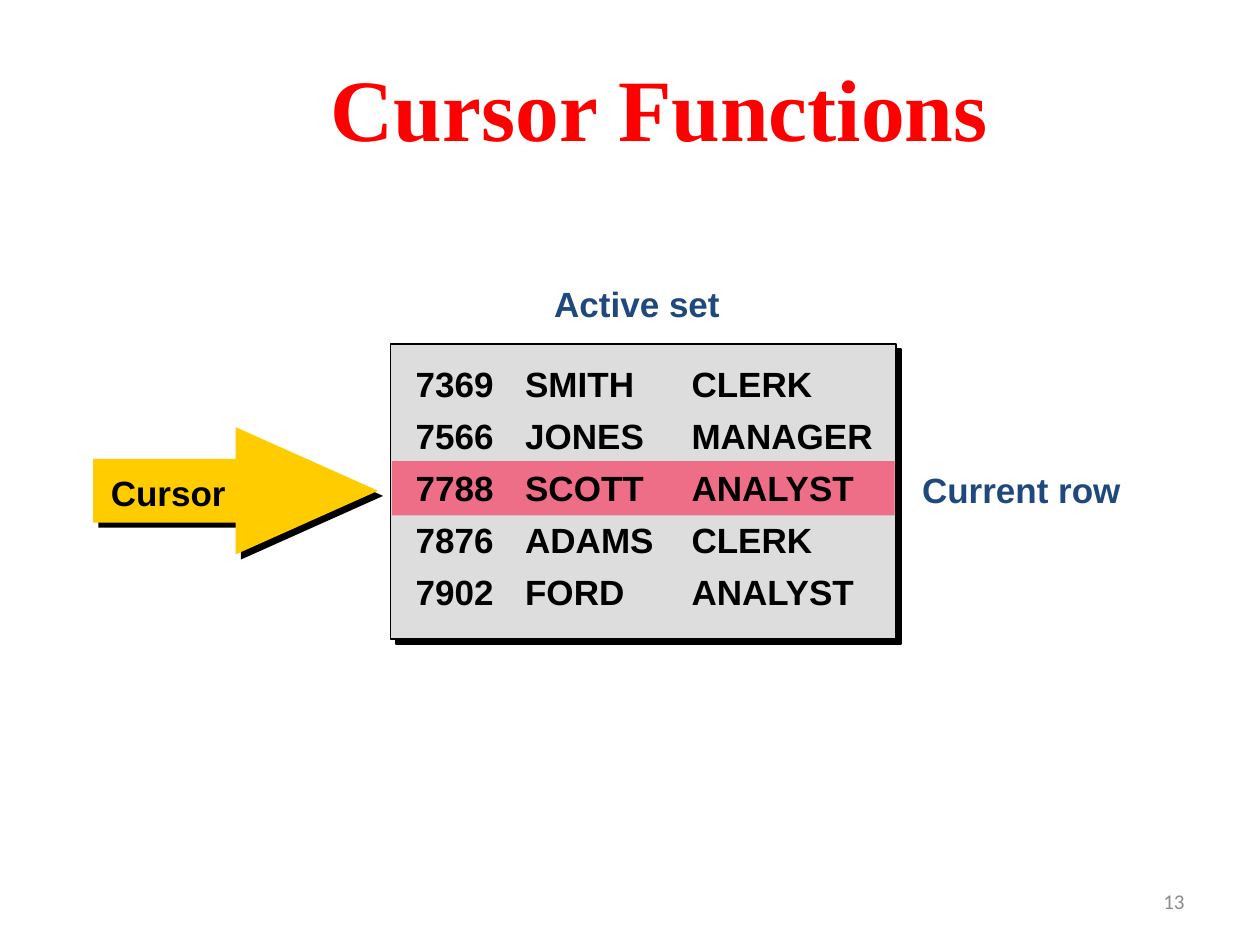
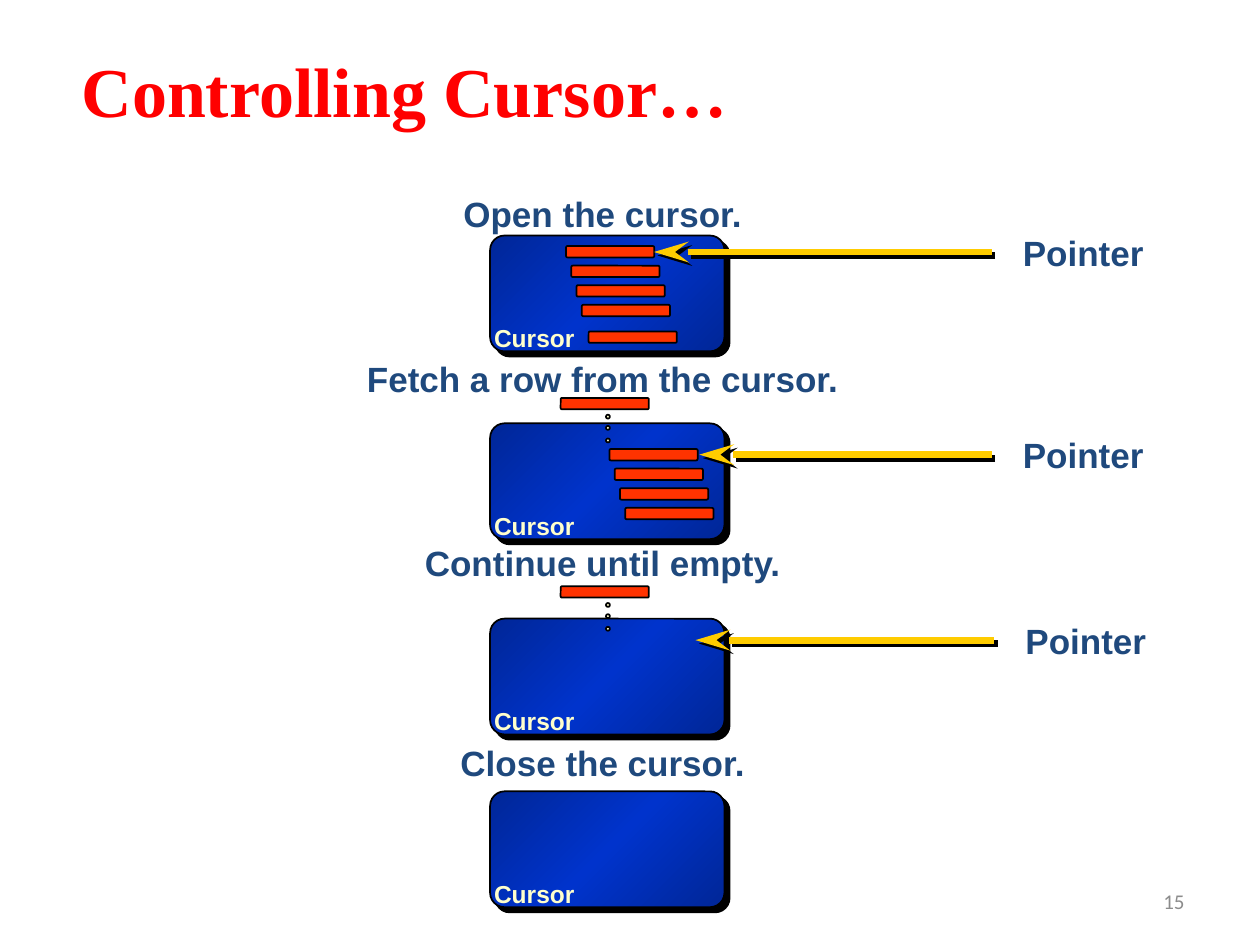
from lxml.etree import SubElement as Sub
from pptx import Presentation
from pptx.dml.color import RGBColor
from pptx.enum.shapes import MSO_CONNECTOR as Link, MSO_SHAPE as Kind
from pptx.enum.text import MSO_ANCHOR as Anchor, MSO_AUTO_SIZE as Size, PP_ALIGN as Align
from pptx.oxml.ns import qn
from pptx.util import Pt

RED = RGBColor(0xFF, 0x00, 0x00)
NAVY = RGBColor(0x1F, 0x49, 0x7D)
BLACK = RGBColor(0x00, 0x00, 0x00)
GRAY = RGBColor(0x8C, 0x8C, 0x8C)
SILVER = RGBColor(0xDD, 0xDD, 0xDD)
GOLD = RGBColor(0xFF, 0xCC, 0x00)
ROSE = RGBColor(0xFF, 0x00, 0x33)
CREAM = RGBColor(0xFF, 0xFF, 0xCC)
FLAME = RGBColor(0xFF, 0x33, 0x00)
DEEP = RGBColor(0x00, 0x26, 0x97)
BLUE = RGBColor(0x00, 0x33, 0xCC)

# Slide 1: the rows of the active set
STAFF = [
    ("7369", "SMITH", "CLERK"),
    ("7566", "JONES", "MANAGER"),
    ("7788", "SCOTT", "ANALYST"),
    ("7876", "ADAMS", "CLERK"),
    ("7902", "FORD", "ANALYST"),
]
TABS = (62.6, 157.7)

# Slide 2: caption (text, top, width), card top, row places,
# top of the fetched row, pointer (from x, to x, y)
STEP_X, STEP_Y = 3.0, 11.2
STAGES = [
    dict(cap=("Open the cursor.", 108, 226.8), card=134.6,
         rows=[(323.5 + i * STEP_X, 140.6 + i * STEP_Y) for i in range(4)] + [(336.4, 189.4)],
         out=None, point=(566.6, 373.7, 144)),
    dict(cap=("Fetch a row from the cursor.", 202.3, 327.6), card=241.9,
         rows=[(348.3 + i * STEP_X, 256.6 + i * STEP_Y) for i in range(4)],
         out=227.4, point=(566.6, 399.6, 259.8)),
    dict(cap=("Continue until empty.", 307.4, 258.5), card=353.5,
         rows=[], out=335, point=(568.1, 397.4, 365.8)),
    dict(cap=("Close the cursor.", 421.9, 226.8), card=452.2,
         rows=[], out=None, point=None),
]
CARD_X, CARD_W, CARD_H = 280.1, 133.9, 66.2
ROW_W, ROW_H = 50.4, 6.5
MID = 344.4
DOT_X, DOT, DROPS = 346.3, 2.2, (9.6, 16, 23.2)


def write(slide, lines, box, size, tint, font="Arial", bold=True, align=Align.LEFT,
          pad=(7.2, 3.6), wrap=True, grow=True, anchor=Anchor.TOP,
          loose=False, tabs=(), hang=0):
    """Add a text box with one paragraph for each line."""
    frame = slide.shapes.add_textbox(*map(Pt, box)).text_frame
    frame.word_wrap = wrap
    frame.auto_size = Size.SHAPE_TO_FIT_TEXT if grow else Size.NONE
    frame.vertical_anchor = anchor
    frame.margin_left = frame.margin_right = Pt(pad[0])
    frame.margin_top = frame.margin_bottom = Pt(pad[1])
    frame.text = "\n".join(lines)
    for para in frame.paragraphs:
        para.alignment = align
        props = para._p.get_or_add_pPr()
        if hang:
            props.set("marL", str(Pt(hang)))
            props.set("indent", str(-Pt(hang)))
        if loose:
            para.line_spacing = 0.95
            Sub(Sub(props, qn("a:spcBef")), qn("a:spcPct"), val="35000")
        if tabs:
            stops = Sub(props, qn("a:tabLst"))
            for tab in tabs:
                Sub(stops, qn("a:tab"), pos=str(Pt(tab)), algn="l")
        for run in para.runs:
            run.font.size, run.font.bold, run.font.name = Pt(size), bold, font
            run.font.color.rgb = tint


def shade(shape, dist):
    """Give a shape or line a hard black shadow, down and to the right."""
    props = shape.element.spPr
    node = props.find(qn("a:effectLst"))
    if node is None:
        node = Sub(props, qn("a:effectLst"))
    cast = Sub(node, qn("a:outerShdw"), dist=str(Pt(dist)), dir="2700000",
               algn="ctr", rotWithShape="0")
    Sub(cast, qn("a:srgbClr"), val=str(BLACK))


def draw(slide, kind, box, fill, edge=True, bend=()):
    """Add a filled preset shape, with a thin black edge if wanted."""
    shape = slide.shapes.add_shape(kind, *map(Pt, box))
    for i, part in enumerate(bend):
        shape.adjustments[i] = part
    shape.fill.solid()
    shape.fill.fore_color.rgb = fill
    if edge:
        shape.line.color.rgb = BLACK
        shape.line.width = Pt(1)
    else:
        shape.line.fill.background()
    shape.shadow.inherit = False
    return shape


def blend(shape):
    """Replace the fill with a diagonal blend, bright in the middle."""
    old = shape.element.spPr.find(qn("a:solidFill"))
    grad = old.makeelement(qn("a:gradFill"), {"rotWithShape": "1"})
    stops = Sub(grad, qn("a:gsLst"))
    for place, tint in ((0, DEEP), (50, BLUE), (100, DEEP)):
        stop = Sub(stops, qn("a:gs"), pos=str(place * 1000))
        Sub(stop, qn("a:srgbClr"), val=str(tint))
    Sub(grad, qn("a:lin"), ang="2700000", scaled="1")
    old.getparent().replace(old, grad)


def start(deck, title, box, size, page):
    """Add a blank slide with its title and page number."""
    slide = deck.slides.add_slide(deck.slide_layouts[6])
    write(slide, [page], (516, 500.5, 168, 28.8), 12, GRAY, "Calibri", bold=False,
          align=Align.RIGHT, grow=False, anchor=Anchor.MIDDLE)
    write(slide, [title], box, size, RED, "Times New Roman",
          align=Align.CENTER, wrap=False)
    return slide


def label(slide, text, box, tint=NAVY, **more):
    """Add a bold label."""
    write(slide, [text], box, 20, tint, **more)


def bar(slide, x, y):
    """Add one row of the cursor."""
    draw(slide, Kind.ROUNDED_RECTANGLE, (x, y, ROW_W, ROW_H), FLAME, bend=[0.125])


def point(slide, begin, end, y):
    """Add a pointer arrow with its label."""
    label(slide, "Pointer", (begin + 10.8, y - 15.5, 101, 31))
    line = slide.shapes.add_connector(Link.STRAIGHT, Pt(begin), Pt(y), Pt(end), Pt(y))
    line.line.color.rgb = GOLD
    line.line.width = Pt(4)
    Sub(line.element.spPr.get_or_add_ln(), qn("a:tailEnd"),
        type="stealth", w="med", len="lg")
    shade(line, 2.8)


def stage(slide, cap, card, rows, out, arrow):
    """Draw one stage: caption, cursor card, rows and pointer."""
    text, top, width = cap
    label(slide, text, (MID - width / 2, top, width, 30.2),
          align=Align.CENTER, loose=True, hang=27)
    panel = draw(slide, Kind.ROUNDED_RECTANGLE, (CARD_X, card, CARD_W, CARD_H),
                 BLUE, bend=[0.125])
    blend(panel)
    shade(panel, 4.2)
    write(slide, ["Cursor"], (278, card + 48, 60, 21.6), 14, CREAM, pad=(4.3, 2.2))
    for x, y in rows:
        bar(slide, x, y)
    if out:
        for drop in DROPS:
            draw(slide, Kind.OVAL, (DOT_X, out + drop, DOT, DOT), CREAM)
        bar(slide, 320.4, out)
    if arrow:
        point(slide, *arrow)


def active(deck):
    """Build the slide on the active set."""
    slide = start(deck, "Cursor Functions", (180, 27.4, 393.8, 67.7), 50, "13")
    shade(draw(slide, Kind.RECTANGLE, (223.2, 196.6, 288.7, 168.5), SILVER), 4.2)
    label(slide, "Active set", (290.2, 159.8, 147.6, 30.2),
          align=Align.CENTER, loose=True)
    label(slide, "Current row", (519.8, 265.7, 147.6, 30.2), loose=True)
    shade(draw(slide, Kind.RIGHT_ARROW, (53.3, 244.1, 162.7, 72.7), GOLD,
               edge=False, bend=(0.5, 1.118)), 4.2)
    label(slide, "Cursor", (56.2, 267.8, 85.7, 30.2), BLACK, loose=True)
    band = draw(slide, Kind.RECTANGLE, (223.9, 263.5, 287.3, 31), ROSE, edge=False)
    Sub(band.element.spPr.find(qn("a:solidFill"))[0], qn("a:alpha"), val="50000")
    write(slide, ["\t".join(row) for row in STAFF], (230.4, 205.2, 375.1, 154.8),
          20, BLACK, grow=False, loose=True, tabs=TABS)


def control(deck):
    """Build the slide on the stages of a cursor."""
    slide = start(deck, "Controlling Cursor…", (37.4, 23.8, 387.4, 55.4), 40, "15")
    for part in STAGES:
        stage(slide, part["cap"], part["card"], part["rows"], part["out"], part["point"])


deck = Presentation()
deck.slide_width, deck.slide_height = Pt(720), Pt(540)
active(deck)
control(deck)
deck.save("out.pptx")
